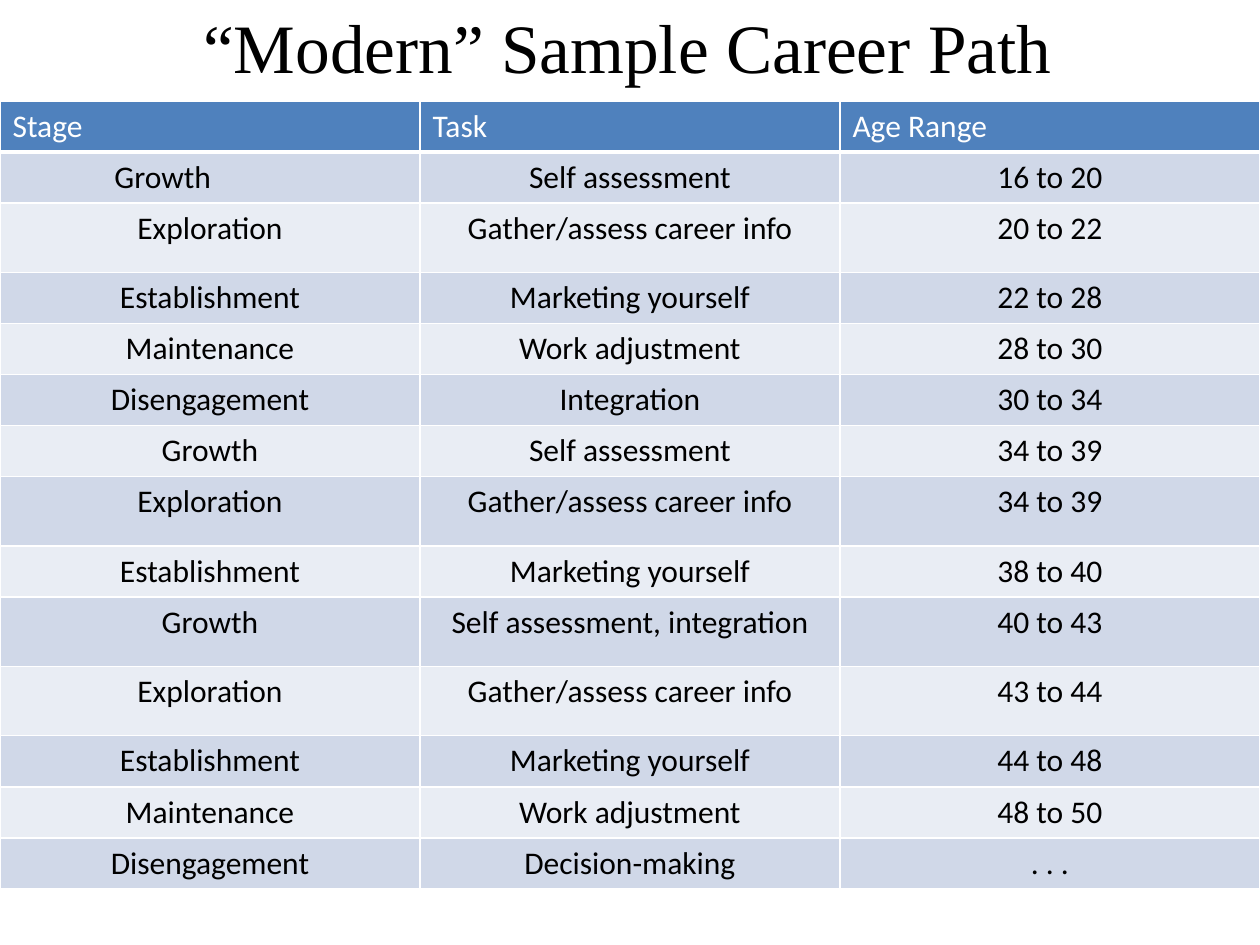
from dataclasses import dataclass

from lxml.etree import SubElement
from pptx import Presentation
from pptx.dml.color import RGBColor
from pptx.enum.text import MSO_ANCHOR as Anchor, PP_ALIGN as Align
from pptx.oxml.ns import qn
from pptx.util import Inches, Pt


@dataclass(frozen=True)
class Theme:
    title_font: str = "Times New Roman"
    table_font: str = "Calibri"
    title_size: float = 39.6
    table_size: float = 18
    text: str = "000000"
    header_text: str = "FFFFFF"
    header_fill: str = "4F81BD"
    band_fills: tuple = ("D0D8E8", "E9EDF4")
    border: str = "FFFFFF"


TITLE = "“Modern” Sample Career Path"
HEADER = ("Stage", "Task", "Age Range")
CAREER_STEPS = (
    ("Growth", "Self assessment", "16 to 20"),
    ("Exploration", "Gather/assess career info", "20 to 22"),
    ("Establishment", "Marketing yourself", "22 to 28"),
    ("Maintenance", "Work adjustment", "28 to 30"),
    ("Disengagement", "Integration", "30 to 34"),
    ("Growth", "Self assessment", "34 to 39"),
    ("Exploration", "Gather/assess career info", "34 to 39"),
    ("Establishment", "Marketing yourself", "38 to 40"),
    ("Growth", "Self assessment, integration", "40 to 43"),
    ("Exploration", "Gather/assess career info", "43 to 44"),
    ("Establishment", "Marketing yourself", "44 to 48"),
    ("Maintenance", "Work adjustment", "48 to 50"),
    ("Disengagement", "Decision-making", ". . ."),
)
ROW_HEIGHT, TALL_ROW_HEIGHT = Inches(0.4), Inches(0.55)
LONG_TASK = 20  # tasks with more characters get a tall row


def write_text(frame, text, *, font, size, color, align):
    """Fill a text frame with one formatted paragraph."""
    paragraph = frame.paragraphs[0]
    paragraph.alignment = align
    run = paragraph.add_run()
    run.text = text
    run.font.name = font
    run.font.size = Pt(size)
    run.font.bold = False
    run.font.color.rgb = RGBColor.from_string(color)


class SlideBuilder:
    def __init__(self, slide, theme):
        self.slide = slide
        self.theme = theme

    def title(self, text, left, top, width, height):
        shape = self.slide.shapes.title
        shape.left, shape.top, shape.width, shape.height = left, top, width, height
        shape.text_frame.vertical_anchor = Anchor.MIDDLE
        write_text(shape.text_frame, text, font=self.theme.title_font,
                   size=self.theme.title_size, color=self.theme.text,
                   align=Align.CENTER)

    def borders(self, cell, bottom_width):
        properties = cell._tc.get_or_add_tcPr()
        widths = {"a:lnL": 1, "a:lnR": 1, "a:lnT": 1, "a:lnB": bottom_width}
        for tag, width in widths.items():
            line = SubElement(properties, qn(tag), w=str(Pt(width)))
            fill = SubElement(line, qn("a:solidFill"))
            SubElement(fill, qn("a:srgbClr"), val=self.theme.border)

    def cell(self, cell, text, *, fill, color, align, bottom_width=1):
        self.borders(cell, bottom_width)
        cell.fill.solid()
        cell.fill.fore_color.rgb = RGBColor.from_string(fill)
        write_text(cell.text_frame, text, font=self.theme.table_font,
                   size=self.theme.table_size, color=color, align=align)

    def table(self, header, rows, left, top, width):
        height = ROW_HEIGHT * (len(rows) + 1)
        table = self.slide.shapes.add_table(
            len(rows) + 1, len(header), left, top, width, height).table

        # Header row
        table.rows[0].height = ROW_HEIGHT
        for column, text in enumerate(header):
            self.cell(table.cell(0, column), text, fill=self.theme.header_fill,
                      color=self.theme.header_text, align=Align.LEFT,
                      bottom_width=3)

        # Banded body rows
        for index, row in enumerate(rows):
            is_long = len(row[1]) > LONG_TASK
            table.rows[index + 1].height = TALL_ROW_HEIGHT if is_long else ROW_HEIGHT
            for column, text in enumerate(row):
                self.cell(table.cell(index + 1, column), text,
                          fill=self.theme.band_fills[index % 2],
                          color=self.theme.text, align=Align.CENTER)
        return table


def main():
    presentation = Presentation()
    presentation.slide_width, presentation.slide_height = Inches(10), Inches(7.5)
    title_only = presentation.slide_layouts[5]
    builder = SlideBuilder(presentation.slides.add_slide(title_only), Theme())

    builder.title(TITLE, Inches(0.73), Inches(0), Inches(8.5), Inches(0.72))
    table = builder.table(HEADER, CAREER_STEPS, Inches(0), Inches(0.8), Inches(10))
    # The first stage sits left of the column centre
    table.cell(1, 0).margin_right = Inches(0.85)

    presentation.save("out.pptx")


if __name__ == "__main__":
    main()
